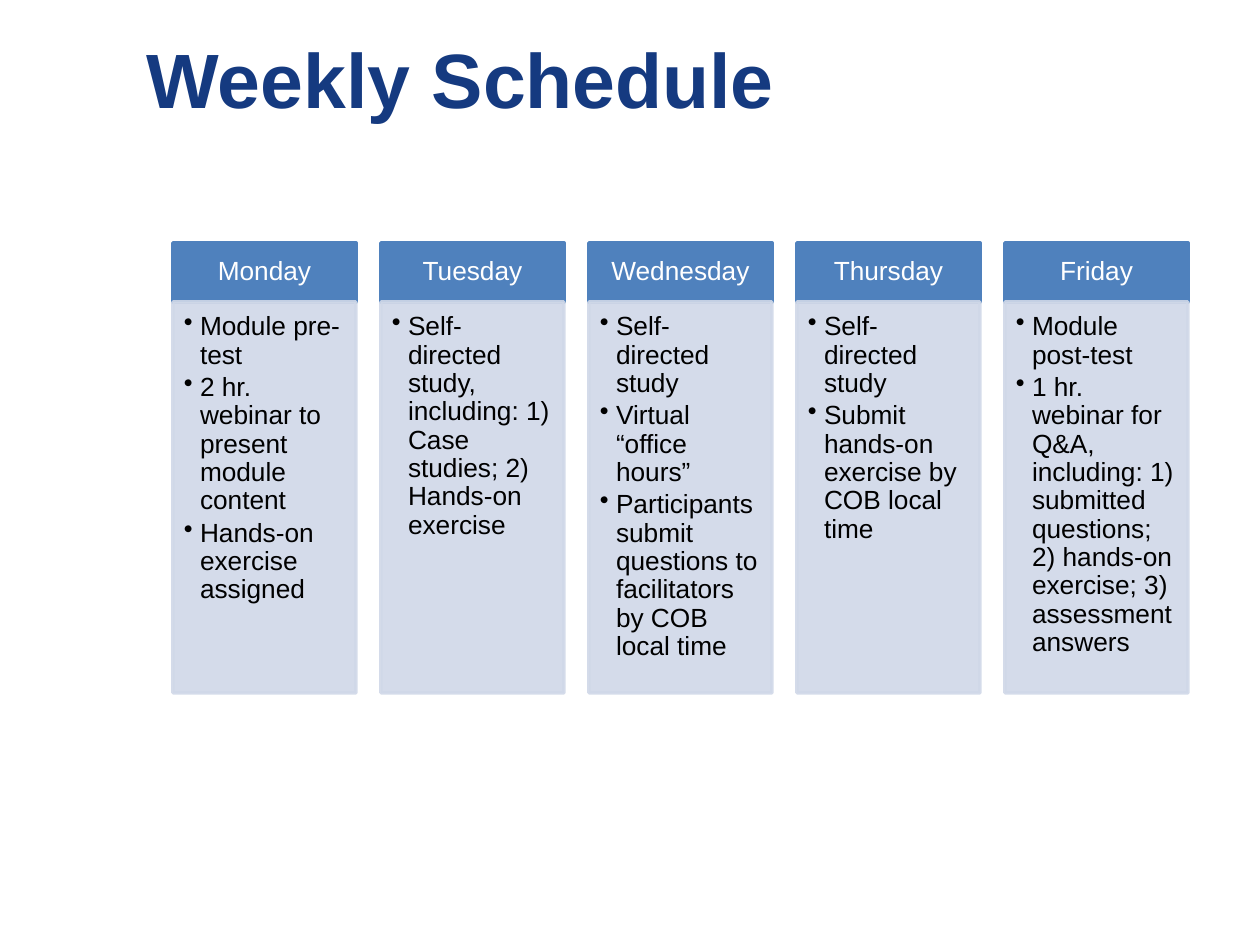
from dataclasses import dataclass

from lxml import etree
from pptx import Presentation
from pptx import util as u
from pptx.dml.color import RGBColor
from pptx.enum import shapes, text
from pptx.oxml.ns import qn

PX = 914400 // 126  # EMU per px

NAVY = RGBColor(0x15, 0x3A, 0x80)
BLUE = RGBColor(0x4F, 0x81, 0xBD)
PALE = RGBColor(0xD0, 0xD8, 0xE8)
WHITE = RGBColor(0xFF, 0xFF, 0xFF)
BLACK = RGBColor(0x00, 0x00, 0x00)

FONT = "Arial"
LEFT, TOP = 173, 243
WIDTH, PITCH = 183, 208
HEADER_HEIGHT, BODY_HEIGHT = 59, 391
INDENT = 16


@dataclass(frozen=True)
class Day:
    name: str
    tasks: tuple[str, ...]


DAYS = (
    Day("Monday", ("Module pre-test", "2 hr. webinar to present module content",
                   "Hands-on exercise assigned")),
    Day("Tuesday", ("Self-directed study, including: 1) Case studies; "
                    "2) Hands-on exercise",)),
    Day("Wednesday", ("Self-directed study", "Virtual “office hours”",
                      "Participants submit questions to facilitators by COB local time")),
    Day("Thursday", ("Self-directed study", "Submit hands-on exercise by COB local time")),
    Day("Friday", ("Module post-test",
                   "1 hr. webinar for Q&A, including: 1) submitted questions; "
                   "2) hands-on exercise; 3) assessment answers")),
)


def place(shape, left: int, top: int, width: int, height: int) -> None:
    shape.left, shape.top = left * PX, top * PX
    shape.width, shape.height = width * PX, height * PX


def set_font(font, size: int, color: RGBColor, bold: bool = False) -> None:
    font.name, font.size, font.bold = FONT, u.Pt(size), bold
    font.color.rgb = color


def add_panel(page, left: int, top: int, height: int, color: RGBColor,
              insets: tuple[int, int, int, int]):
    """Add a filled rectangle; insets are left, top, right, bottom."""
    box = page.shapes.add_shape(shapes.MSO_SHAPE.RECTANGLE, 0, 0, 0, 0)
    place(box, left, top, WIDTH, height)
    box.shadow.inherit = False
    box.fill.solid()
    box.fill.fore_color.rgb = color
    box.line.color.rgb = color
    box.line.width = u.Pt(2)
    frame = box.text_frame
    frame.word_wrap = True
    (frame.margin_left, frame.margin_top,
     frame.margin_right, frame.margin_bottom) = (inset * PX for inset in insets)
    return box


def soften(box) -> None:
    """Make fill and line 90% opaque."""
    for color in box._element.spPr.iter(qn("a:srgbClr")):
        etree.SubElement(color, qn("a:alpha"), val="90000")


def add_bullet(para) -> None:
    props = para._p.get_or_add_pPr()
    props.set("marL", str(INDENT * PX))
    props.set("indent", str(-INDENT * PX))
    etree.SubElement(props, qn("a:buChar"), char="•")


def add_day(page, day: Day, left: int) -> None:
    # Header
    header = add_panel(page, left, TOP, HEADER_HEIGHT, BLUE, (15, 9, 15, 9))
    header.text_frame.vertical_anchor = text.MSO_ANCHOR.MIDDLE
    para = header.text_frame.paragraphs[0]
    para.text = day.name
    para.alignment = text.PP_ALIGN.CENTER
    para.line_spacing = 0.9
    set_font(para.runs[0].font, 15, WHITE)

    # Task list
    body = add_panel(page, left, TOP + HEADER_HEIGHT, BODY_HEIGHT, PALE, (11, 11, 14, 16))
    soften(body)
    frame = body.text_frame
    frame.vertical_anchor = text.MSO_ANCHOR.TOP
    frame.text = "\n".join(day.tasks)
    for para in frame.paragraphs:
        add_bullet(para)
        para.alignment = text.PP_ALIGN.LEFT
        para.line_spacing = 0.9
        para.space_after = u.Pt(2.25)
        set_font(para.runs[0].font, 15, BLACK)


def main() -> None:
    deck = Presentation()
    deck.slide_width, deck.slide_height = u.Inches(10), u.Inches(7.5)
    page = deck.slides.add_slide(deck.slide_layouts[5])

    # Title
    title = page.shapes.title
    place(title, 134, 21, 1091, 113)
    title.text_frame.text = "Weekly Schedule"
    title.text_frame.vertical_anchor = text.MSO_ANCHOR.MIDDLE
    para = title.text_frame.paragraphs[0]
    para.alignment = text.PP_ALIGN.LEFT
    set_font(para.runs[0].font, 44, NAVY, bold=True)

    # One column per day
    for column, day in enumerate(DAYS):
        add_day(page, day, LEFT + column * PITCH)

    deck.save("out.pptx")


if __name__ == "__main__":
    main()
